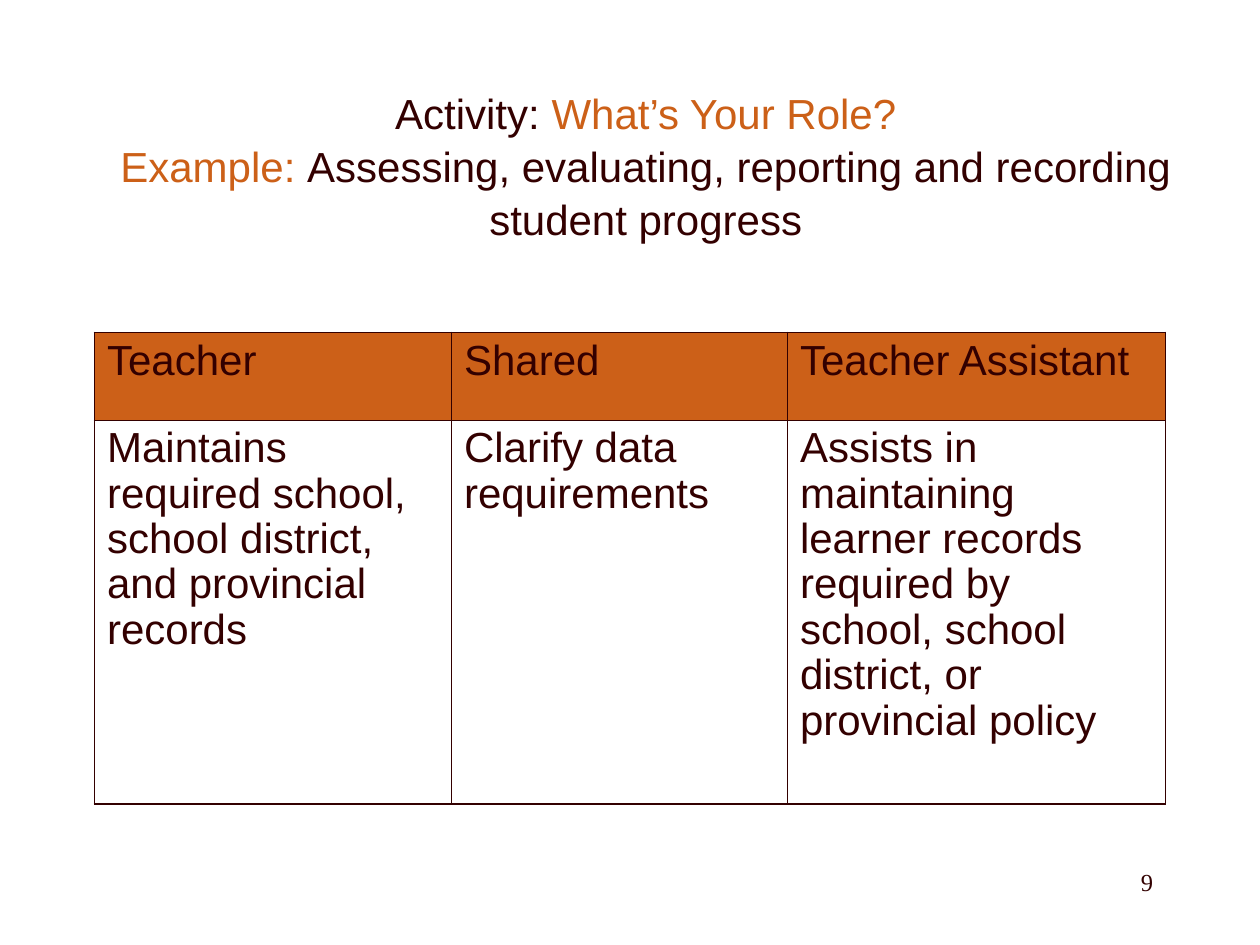
from lxml import etree
from pptx import Presentation
from pptx import util as u
from pptx.dml.color import RGBColor
from pptx.enum import text
from pptx.oxml.ns import qn

HUES = {"dark": "330000", "rust": "CC6018", "white": "FFFFFF"}
TITLE = [
    [("Activity: ", "dark"), ("What’s Your Role?", "rust")],
    [("Example: ", "rust"),
     ("Assessing, evaluating, reporting and recording student progress", "dark")],
]
ROLES = [
    ["Teacher", "Shared", "Teacher Assistant"],
    ["Maintains required school, school district, and provincial records",
     "Clarify data requirements",
     "Assists in maintaining learner records required by school, "
     "school district, or provincial policy"],
]
WIDTHS = [204, 192, 216]
HEIGHTS = [50, 219.5]
THICK, THIN = 1.08, 0.45


def hue(name):
    return RGBColor.from_string(HUES[name])


class Deck:
    def __init__(self, slide, face="Arial", size=24):
        self.slide, self.face, self.size = slide, face, size

    def style(self, run, color="dark", face=None, size=None):
        font = run.font
        font.name, font.size = face or self.face, u.Pt(size or self.size)
        font.color.rgb = hue(color)

    def title(self, lines, x, y, w, h):
        box = self.slide.shapes.title
        box.left, box.top, box.width, box.height = map(u.Pt, (x, y, w, h))
        frame = box.text_frame
        frame.auto_size = text.MSO_AUTO_SIZE.NONE
        frame.vertical_anchor = text.MSO_ANCHOR.MIDDLE
        para = frame.paragraphs[0]
        para.alignment, para.line_spacing = text.PP_ALIGN.CENTER, 1.05
        for i, line in enumerate(lines):
            if i:
                para.add_line_break()
            for words, color in line:
                run = para.add_run()
                run.text = words
                self.style(run, color)

    def edge(self, cell, side, width):
        line = etree.SubElement(cell._tc.get_or_add_tcPr(), qn("a:ln" + side),
                                w=str(u.Pt(width)))
        fill = etree.SubElement(line, qn("a:solidFill"))
        etree.SubElement(fill, qn("a:srgbClr"), val=HUES["dark"])

    def table(self, rows, widths, heights, x, y):
        nr, nc = len(rows), len(widths)
        grid = self.slide.shapes.add_table(
            nr, nc, u.Pt(x), u.Pt(y), u.Pt(sum(widths)), u.Pt(sum(heights))).table
        grid.first_row = grid.horz_banding = False
        for col, width in zip(grid.columns, widths):
            col.width = u.Pt(width)
        for r, (row, height) in enumerate(zip(rows, heights)):
            grid.rows[r].height = u.Pt(height)
            for c, words in enumerate(row):
                cell = grid.cell(r, c)
                # Outer edges are thicker than inner ones
                outer = {"L": c == 0, "R": c == nc - 1,
                         "T": r == 0, "B": r == nr - 1}
                for side, thick in outer.items():
                    self.edge(cell, side, THICK if thick else THIN)
                cell.fill.solid()
                cell.fill.fore_color.rgb = hue("white" if r else "rust")
                cell.text_frame.text = words
                para = cell.text_frame.paragraphs[0]
                para.line_spacing = 0.97
                self.style(para.runs[0])

    def label(self, words, x, y, w, h, face, size):
        frame = self.slide.shapes.add_textbox(*map(u.Pt, (x, y, w, h))).text_frame
        frame.word_wrap = True
        frame.text = words
        para = frame.paragraphs[0]
        para.alignment = text.PP_ALIGN.RIGHT
        self.style(para.runs[0], face=face, size=size)


def main():
    prs = Presentation()
    prs.slide_width, prs.slide_height = u.Pt(720), u.Pt(540)
    deck = Deck(prs.slides.add_slide(prs.slide_layouts[5]))

    # Heading
    deck.title(TITLE, 48, 42, 642, 104)
    # Roles table
    deck.table(ROLES, WIDTHS, HEIGHTS, 54, 190)
    # Page number
    deck.label("9", 516, 492, 150, 36, "Times New Roman", 14)

    prs.save("out.pptx")


if __name__ == "__main__":
    main()
